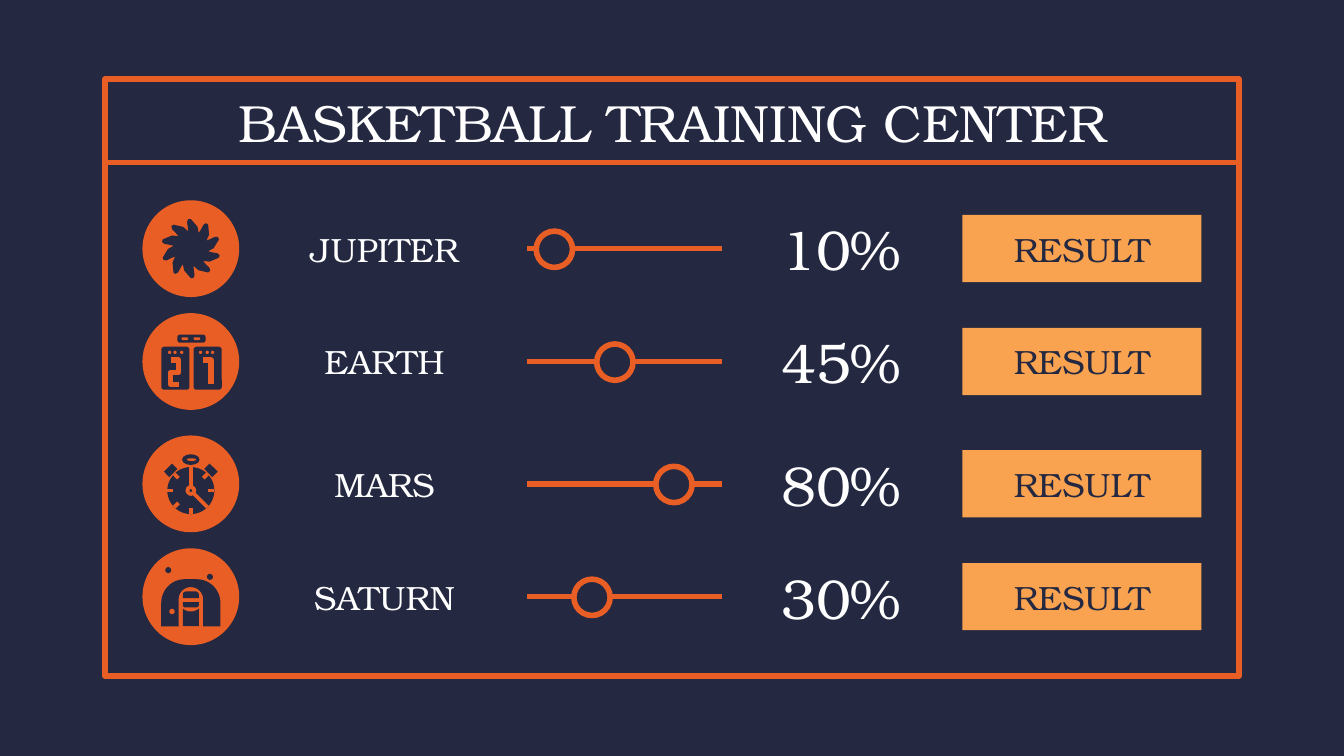
import math
from lxml import etree
from pptx import Presentation
from pptx import util as u
from pptx.dml.color import RGBColor
from pptx.enum import shapes, text
from pptx.oxml.ns import qn

NAVY, ORANGE, AMBER, WHITE = "242841", "E95E24", "F9A350", "FFFFFF"
FONT = "TeX Gyre Bonum"
KIND = shapes.MSO_SHAPE
OVAL, RECT, ROUND, ARCH = KIND.OVAL, KIND.RECTANGLE, KIND.ROUNDED_RECTANGLE, KIND.ROUND_2_SAME_RECTANGLE
MIDDLE, BOTTOM = text.MSO_ANCHOR.MIDDLE, text.MSO_ANCHOR.BOTTOM
colour = RGBColor.from_string

deck = Presentation()
deck.slide_width = u.Inches(10)
deck.slide_height = deck.slide_width * 9 // 16
unit = deck.slide_width // 1000
page = deck.slides.add_slide(deck.slide_layouts[5])
page.background.fill.solid()
page.background.fill.fore_color.rgb = colour(NAVY)


def place(kind, left, top, width, height, fill=None, line=None, curve=None):
    box = page.shapes.add_shape(kind, *(round(n * unit) for n in (left, top, width, height)))
    box.shadow.inherit = False
    if fill:
        box.fill.solid()
        box.fill.fore_color.rgb = colour(fill)
    else:
        box.fill.background()
    if line:
        box.line.color.rgb = colour(line)
        box.line.width = u.Pt(3)
    else:
        box.line.fill.background()
    if curve:
        box.adjustments[0] = curve
    return box


def connect(x1, y1, x2, y2, width=3):
    rule = page.shapes.add_connector(
        shapes.MSO_CONNECTOR.STRAIGHT, *(round(n * unit) for n in (x1, y1, x2, y2)))
    rule.line.color.rgb = colour(ORANGE)
    rule.line.width = u.Pt(width)
    etree.SubElement(rule._element.spPr, qn("a:effectLst"))


place(RECT, 78, 59, 844, 444, line=ORANGE)
connect(80, 121, 920, 121)

title = page.shapes.title
title.left, title.top, title.width, title.height = (n * unit for n in (78, 59, 844, 63))
labels = [(title, "BASKETBALL TRAINING CENTER", 28, WHITE, MIDDLE, 0)]

rows = [185, 269, 360, 444]
names = ["JUPITER", "EARTH", "MARS", "SATURN"]
shares = ["10%", "45%", "80%", "30%"]
knobs = [399, 444, 488, 427]
icon_x = 142
for row, name, share, knob in zip(rows, names, shares, knobs):
    place(OVAL, icon_x - 36, row - 36, 72, 72, ORANGE)
    connect(392, row, 537, row)
    place(OVAL, knob, row - 13, 27, 27, NAVY, ORANGE)
    name_box = place(RECT, 180, row - 25, 212, 50)
    share_box = place(RECT, 537, row - 25, 178, 50)
    button = place(RECT, 716, row - 25, 178, 50, AMBER)
    labels += [(name_box, name, 18, WHITE, BOTTOM, 12),
               (share_box, share, 30, WHITE, MIDDLE, 12),
               (button, "RESULT", 18, NAVY, BOTTOM, 12)]

for box, words, size, ink, anchor, after in labels:
    frame = box.text_frame
    frame.word_wrap = True
    frame.auto_size = text.MSO_AUTO_SIZE.NONE
    frame.vertical_anchor = anchor
    frame.margin_left = frame.margin_right = frame.margin_top = frame.margin_bottom = u.Inches(0.1)
    para = frame.paragraphs[0]
    para.alignment = text.PP_ALIGN.CENTER
    para.space_after = u.Pt(after)
    span = para.add_run()
    span.text = words
    span.font.name = FONT
    span.font.size = u.Pt(size)
    span.font.color.rgb = colour(ink)

swirl_y, board_y, watch_y, dome_y = rows
dial_y = watch_y + 5

blade = [(32, 13), (22, 17), (5, 22), (0, 22), (-3, 20), (-3, 16)]
swirl = []
for turn in range(10):
    for offset, radius in blade:
        angle = math.radians(-95 - 36 * turn + offset)
        swirl.append((radius * math.cos(angle), radius * math.sin(angle)))
pusher = [(-14, -15), (-20, -9), (-16, -5), (-10, -11)]
digit_two = [(-15, -1), (-9, -1), (-9, 8), (-15, 8), (-15, 17), (-9, 17)]
digit_one = [(9, -1), (15, -1), (15, 17)]

place(ROUND, icon_x - 10, board_y - 20, 21, 6, NAVY, curve=0.3)
for left, slot, dots in [(-22, -7, (-16, -12, -7)), (2, 2, (7, 12, 16))]:
    place(ROUND, icon_x + left, board_y - 11, 21, 32, NAVY, curve=0.1)
    place(ROUND, icon_x + slot, board_y - 18, 5, 2, ORANGE, curve=0.5)
    for dot in dots:
        place(OVAL, icon_x + dot - 1, board_y - 8, 2.4, 2.4, ORANGE)

place(OVAL, icon_x - 6.5, watch_y - 22, 13, 8, NAVY)
place(OVAL, icon_x - 3, watch_y - 19, 7, 2, ORANGE)
place(OVAL, icon_x - 17.5, dial_y - 17.5, 35, 35, NAVY)
for degrees in (0, 90, 135, 180, 225, 315):
    across, down = math.cos(math.radians(degrees)), math.sin(math.radians(degrees))
    connect(icon_x + 13 * across, dial_y + 13 * down,
            icon_x + 17.5 * across, dial_y + 17.5 * down, 2)
connect(icon_x, dial_y - 17.5, icon_x, dial_y, 2)
connect(icon_x, dial_y, icon_x + 12.5, dial_y + 12.5, 2)
place(OVAL, icon_x - 4, dial_y - 4, 8, 8, ORANGE)
place(OVAL, icon_x - 1, dial_y - 1, 2, 2, NAVY)

place(OVAL, icon_x - 19, dome_y - 22, 4.5, 4.5, NAVY)
place(OVAL, icon_x + 12, dome_y - 17, 4.5, 4.5, NAVY)
place(ARCH, icon_x - 22, dome_y - 13, 44, 35, NAVY, curve=0.5)
place(OVAL, icon_x - 16, dome_y + 9, 4, 4, ORANGE)
place(ARCH, icon_x - 9, dome_y - 7, 18, 30, ORANGE, curve=0.5)
place(RECT, icon_x - 6, dome_y + 9, 12, 13, NAVY)
place(OVAL, icon_x - 9, dome_y - 7, 18, 18, ORANGE)
place(ARCH, icon_x - 6, dome_y - 4, 12, 5, NAVY, curve=0.5)
place(ARCH, icon_x - 6, dome_y + 4, 12, 4, NAVY, curve=0.5).rotation = 180

outlines = [(swirl, swirl_y, True), (pusher, watch_y, True),
            ([(-x, y) for x, y in pusher], watch_y, True),
            (digit_two, board_y, False), (digit_one, board_y, False)]
for points, middle, closed in outlines:
    corners = [((icon_x + x) * unit, (middle + y) * unit) for x, y in points]
    builder = page.shapes.build_freeform(*corners[0])
    builder.add_line_segments(corners[1:], close=closed)
    outline = builder.convert_to_shape()
    outline.shadow.inherit = False
    if closed:
        outline.fill.solid()
        outline.fill.fore_color.rgb = colour(NAVY)
        outline.line.fill.background()
    else:
        outline.fill.background()
        outline.line.color.rgb = colour(ORANGE)
        outline.line.width = u.Pt(2.9)

deck.save("out.pptx")
